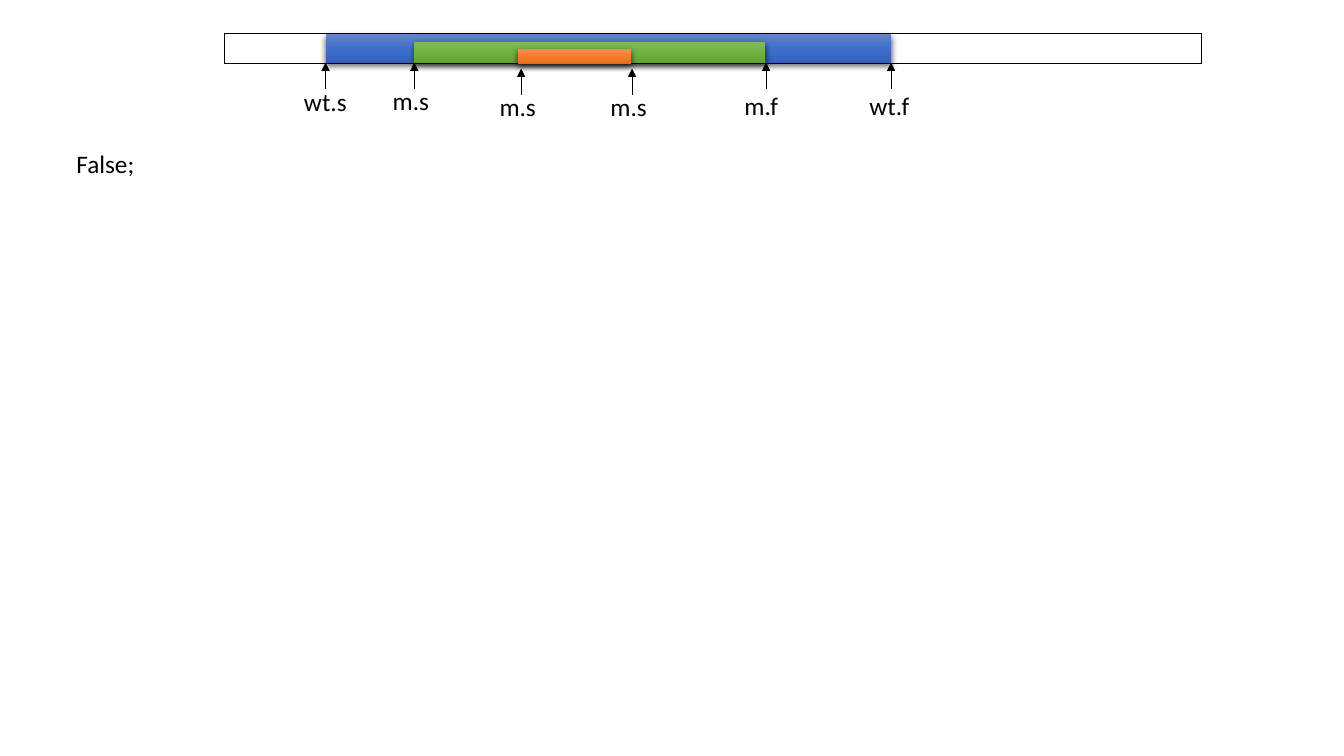
import copy
from pptx import Presentation
from pptx import util as u
from pptx.dml import color
from pptx.enum import shapes, text
from pptx.oxml import ns, xmlchemy

COLORS = {
    "black": "000000",
    "white": "FFFFFF",
    "blue": ["6183CB", "3E70CA", "3062BB"],
    "green": ["81B861", "6FB242", "62A336"],
    "orange": ["F18C57", "F67B28", "E56C19"],
}
BLACK = color.RGBColor.from_string(COLORS["black"])

presentation = Presentation()
presentation.slide_width = u.Inches(13.33)
presentation.slide_height = u.Inches(7.5)
slide = presentation.slides.add_slide(presentation.slide_layouts[6])
COLUMN = presentation.slide_width / 100
ROW = presentation.slide_height / 100


def place(left, top, width, height):
    return [round(v) for v in (left * COLUMN, top * ROW, width * COLUMN, height * ROW)]


def add_text(words, box, wrap):
    text_box = slide.shapes.add_textbox(*place(*box))
    frame = text_box.text_frame
    frame.text = words
    frame.word_wrap = wrap
    frame.auto_size = text.MSO_AUTO_SIZE.SHAPE_TO_FIT_TEXT
    font = frame.paragraphs[0].runs[0].font
    font.name = "Calibri"
    font.size = u.Pt(18)
    font.color.rgb = BLACK


track = slide.shapes.add_shape(shapes.MSO_SHAPE.RECTANGLE, *place(16.73, 4.4, 72.68, 4))
track.shadow.inherit = False
track.fill.solid()
track.fill.fore_color.rgb = color.RGBColor.from_string(COLORS["white"])
track.line.color.rgb = BLACK
track.line.width = u.Pt(1)

bars = [
    ("blue", 24.23, 4.53, 42.08, 3.87),
    ("green", 30.83, 5.6, 26.1, 2.8),
    ("orange", 38.55, 6.53, 8.4, 2),
]
for name, *box in bars:
    bar = slide.shapes.add_shape(shapes.MSO_SHAPE.RECTANGLE, *place(*box))
    bar.line.fill.background()
    bar.fill.gradient()
    bar.fill.gradient_angle = 270
    properties = bar._element.spPr
    stop_list = properties.find(ns.qn("a:gradFill")).find(ns.qn("a:gsLst"))
    stop_list.insert(1, copy.deepcopy(stop_list[0]))
    for stop, position, shade in zip(bar.fill.gradient_stops, (0, 0.5, 1), COLORS[name]):
        stop.position = position
        stop.color.rgb = color.RGBColor.from_string(shade)
    bar.shadow.inherit = False
    shadow = xmlchemy.OxmlElement("a:outerShdw")
    for key, value in (("blurRad", u.Pt(4.5)), ("dist", u.Pt(1.5)), ("dir", 90 * 60000), ("rotWithShape", 0)):
        shadow.set(key, str(int(value)))
    shadow_color = xmlchemy.OxmlElement("a:srgbClr")
    shadow_color.set("val", COLORS["black"])
    alpha = xmlchemy.OxmlElement("a:alpha")
    alpha.set("val", "63000")
    shadow_color.append(alpha)
    shadow.append(shadow_color)
    properties.find(ns.qn("a:effectLst")).append(shadow)

markers = [
    ("wt.s", 24.23, 8.27, 10.8, 4.73),
    ("wt.f", 66.3, 8.27, 11.33, 4.5),
    ("m.s", 30.83, 8.27, 10.67, 4.2),
    ("m.f", 57, 8.27, 11.33, 4.05),
    ("m.s", 38.78, 9.07, 11.47, 4.2),
    ("m.s", 47.03, 9.07, 11.47, 4.2),
]
for label, x, tip, label_top, label_width in markers:
    arrow = slide.shapes.add_connector(
        shapes.MSO_CONNECTOR.STRAIGHT, *place(x, tip + 3.47, x, tip))
    arrow.line.color.rgb = BLACK
    arrow.line.width = u.Pt(0.5)
    head = xmlchemy.OxmlElement("a:tailEnd")
    head.set("type", "triangle")
    arrow.line._get_or_add_ln().append(head)
    arrow._element.spPr.append(xmlchemy.OxmlElement("a:effectLst"))
    add_text(label, (x - 2.35, label_top, label_width, 5.33), False)

add_text("False;", (4.95, 18.93, 79.43, 13.47), True)

presentation.save("out.pptx")
